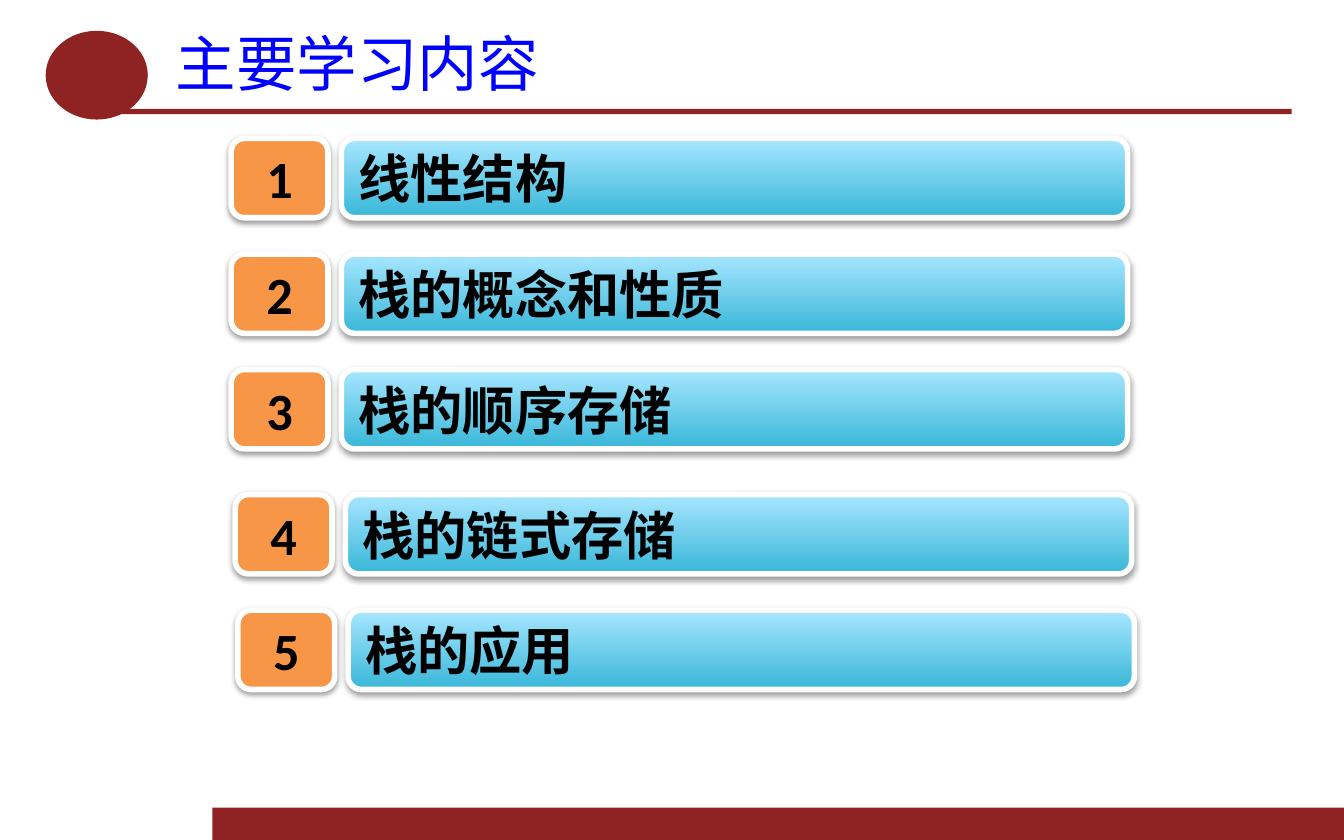
from dataclasses import dataclass

from lxml.etree import SubElement
from pptx import Presentation
from pptx.dml.color import RGBColor
from pptx.enum.shapes import MSO_SHAPE
from pptx.enum.text import MSO_ANCHOR, PP_ALIGN
from pptx.oxml.ns import qn
from pptx.util import Inches, Pt


@dataclass(frozen=True)
class Theme:
    accent: str = "8F2222"
    title: str = "0000FF"
    text: str = "000000"
    badge: str = "F79646"
    border: str = "FFFFFF"
    shadow: str = "000000"
    bar_bottom: str = "39B7D8"
    bar_top: str = "A7E6FF"
    latin_font: str = "Calibri"
    chinese_font: str = "Noto Sans CJK SC"
    title_size: float = 32.4
    item_size: float = 28


class SlideBuilder:
    def __init__(self, slide, theme):
        self.slide = slide
        self.theme = theme

    def shape(self, kind, box, fill):
        """Add a borderless shape; a pair of colours makes a bottom-to-top gradient."""
        shape = self.slide.shapes.add_shape(kind, *map(Inches, box))
        shape.shadow.inherit = False
        shape.line.fill.background()
        if isinstance(fill, str):
            shape.fill.solid()
            shape.fill.fore_color.rgb = RGBColor.from_string(fill)
        else:
            shape.fill.gradient()
            shape.fill.gradient_angle = 90
            for stop, position, color in zip(shape.fill.gradient_stops, (0, 1), fill):
                stop.position = position
                stop.color.rgb = RGBColor.from_string(color)
        return shape

    def set_text(self, shape, text, color, align, font_format):
        frame = shape.text_frame
        frame.word_wrap = True
        frame.vertical_anchor = MSO_ANCHOR.MIDDLE
        paragraph = frame.paragraphs[0]
        paragraph.alignment = align
        run = paragraph.add_run()
        run.text = text
        for name, value in font_format.items():
            setattr(run.font, name, value)
        run.font.color.rgb = RGBColor.from_string(color)
        properties = run.font._element
        SubElement(properties, qn("a:ea"), typeface=self.theme.chinese_font)

    def title(self, text, box):
        text_box = self.slide.shapes.add_textbox(*map(Inches, box))
        font_format = {"size": Pt(self.theme.title_size), "name": self.theme.chinese_font}
        self.set_text(text_box, text, self.theme.title, PP_ALIGN.JUSTIFY, font_format)

    def drop_shadow(self, shape):
        effects = shape._element.spPr.find(qn("a:effectLst"))
        shadow = SubElement(
            effects, qn("a:outerShdw"), blurRad=str(Pt(3.1)), dist=str(Pt(1.6)),
            dir="5400000", rotWithShape="0",
        )
        color = SubElement(shadow, qn("a:srgbClr"), val=self.theme.shadow)
        SubElement(color, qn("a:alpha"), val="38000")

    def panel(self, text, box, fill, align):
        panel = self.shape(MSO_SHAPE.ROUNDED_RECTANGLE, box, fill)
        panel.line.color.rgb = RGBColor.from_string(self.theme.border)
        panel.line.width = Pt(3)
        self.drop_shadow(panel)
        font_format = {
            "size": Pt(self.theme.item_size), "name": self.theme.latin_font, "bold": True,
        }
        self.set_text(panel, text, self.theme.text, align, font_format)

    def agenda_item(self, number, text, left, top):
        theme = self.theme
        height = 0.59
        self.panel(str(number), (left, top, 0.72, height), theme.badge, PP_ALIGN.CENTER)
        self.panel(text, (left + 0.82, top, 5.85, height),
                   (theme.bar_bottom, theme.bar_top), PP_ALIGN.JUSTIFY)


def main():
    presentation = Presentation()
    presentation.slide_width = Inches(10)
    presentation.slide_height = Inches(6.25)
    slide = presentation.slides.add_slide(presentation.slide_layouts[6])
    theme = Theme()
    builder = SlideBuilder(slide, theme)

    builder.shape(MSO_SHAPE.RECTANGLE, (1.58, 6.01, 8.42, 0.24), theme.accent)
    builder.shape(MSO_SHAPE.RECTANGLE, (0.89, 0.81, 8.72, 0.04), theme.accent)
    builder.shape(MSO_SHAPE.OVAL, (0.34, 0.23, 0.76, 0.66), theme.accent)
    builder.title("主要学习内容", (1.21, 0.17, 8.39, 0.59))

    agenda = [
        ("线性结构", 1.72, 1.03),
        ("栈的概念和性质", 1.72, 1.89),
        ("栈的顺序存储", 1.72, 2.75),
        ("栈的链式存储", 1.75, 3.68),
        ("栈的应用", 1.77, 4.54),
    ]
    for number, (text, left, top) in enumerate(agenda, start=1):
        builder.agenda_item(number, text, left, top)

    presentation.save("out.pptx")


if __name__ == "__main__":
    main()
